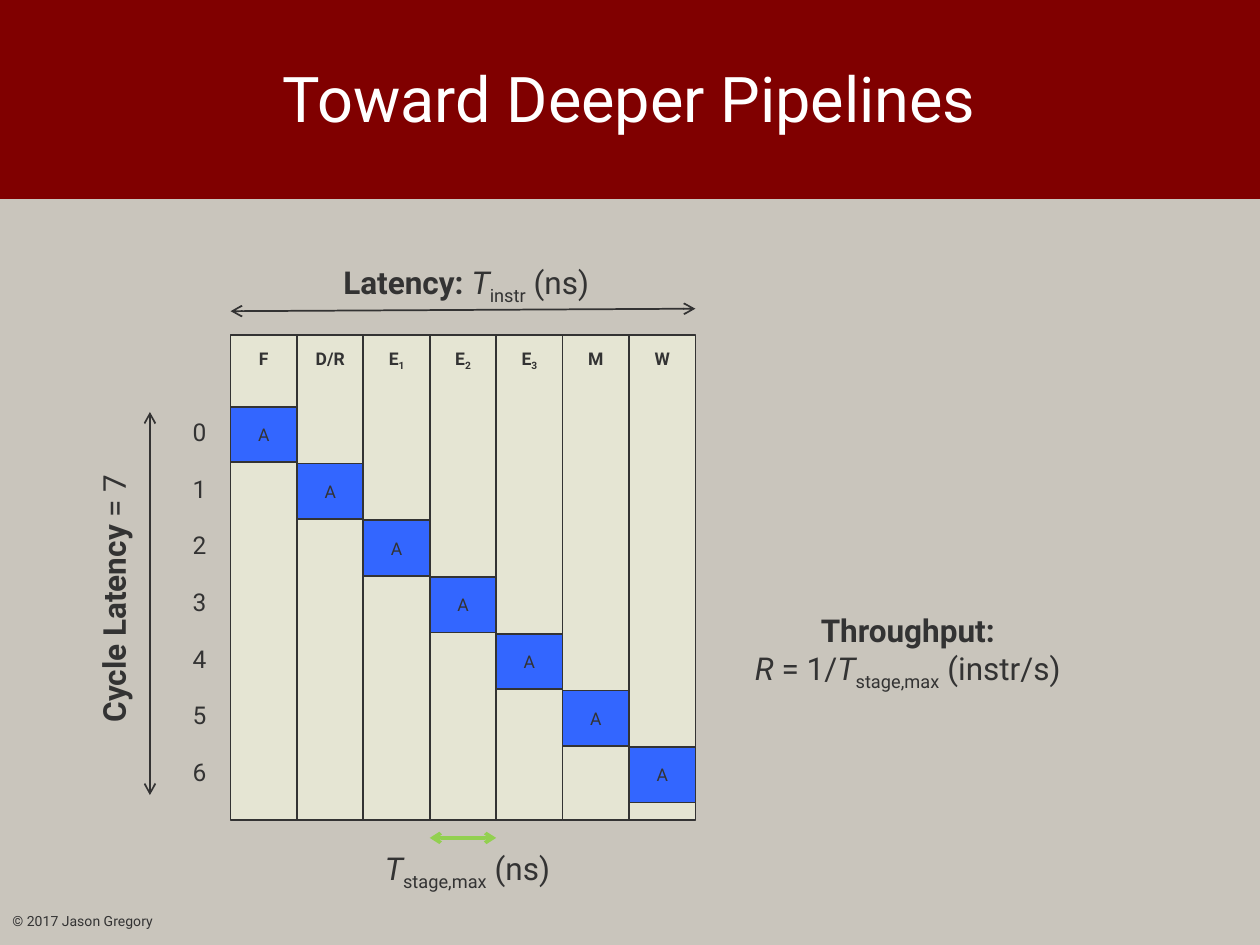
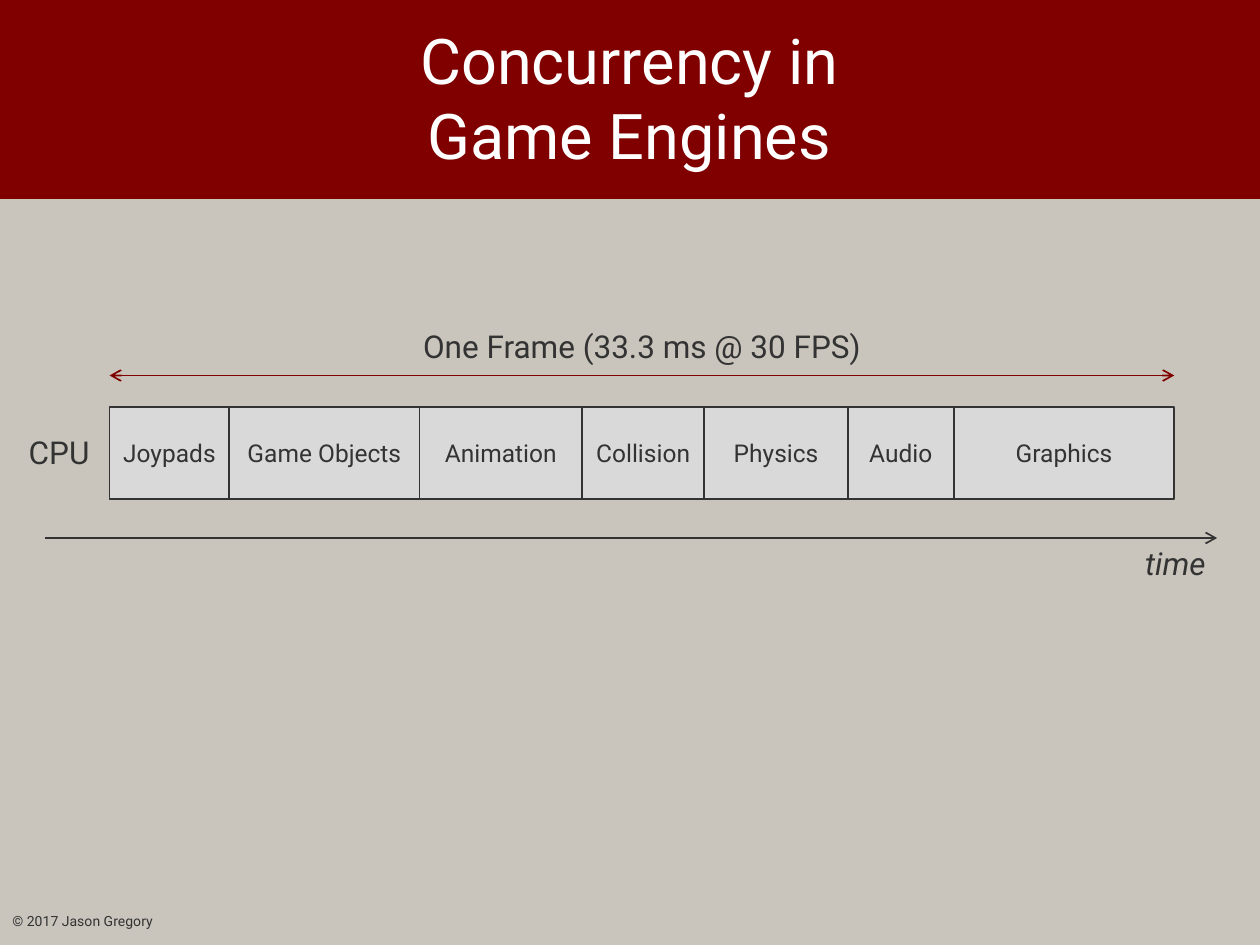
"""Build two slides on pipeline depth and concurrency in game engines."""
from lxml.etree import SubElement
from pptx import Presentation
from pptx.dml.color import RGBColor
from pptx.enum.shapes import MSO_CONNECTOR, MSO_SHAPE
from pptx.enum.text import MSO_ANCHOR as Anchor, PP_ALIGN as Align
from pptx.oxml.ns import qn
from pptx.util import Inches, Pt

MAROON = RGBColor(0x80, 0x00, 0x00)
STONE = RGBColor(0xC9, 0xC5, 0xBC)
WHITE = RGBColor(0xFF, 0xFF, 0xFF)
INK = RGBColor(0x33, 0x33, 0x33)
CREAM = RGBColor(0xE5, 0xE5, 0xD3)
BLUE = RGBColor(0x33, 0x66, 0xFF)
GREEN = RGBColor(0x92, 0xD0, 0x50)
SILVER = RGBColor(0xD9, 0xD9, 0xD9)
FONT = "Roboto"
WIDTH, HEIGHT = 10, 7.5
BAND = 1.58

# Each paragraph is a list of (text, style): b bold, i italic, _ subscript.
PIPELINE_TITLE = [[("Toward Deeper Pipelines", "")]]
ENGINE_TITLE = [[("Concurrency in", "")], [("Game Engines", "")]]
COPYRIGHT = [[("© 2017 Jason Gregory", "")]]

STAGES = [
    [("F", "b")],
    [("D/R", "b")],
    [("E", "b"), ("1", "b_")],
    [("E", "b"), ("2", "b_")],
    [("E", "b"), ("3", "b_")],
    [("M", "b")],
    [("W", "b")],
]
INSTRUCTION = [[("A", "")]]
THROUGHPUT = [
    [("Throughput:", "b")],
    [("R", "i"), (" = 1/", ""), ("T", "i"), ("stage,max", "_"), (" (instr/s)", "")],
]
LATENCY = [[("Latency: ", "b"), ("T", "i"), ("instr", "_"), (" (ns)", "")]]
STAGE_TIME = [[("T", "i"), ("stage,max", "_"), (" (ns)", "")]]
CYCLE_LATENCY = [[("Cycle Latency", "b"), (" = 7", "")]]

FRAME = [[("One Frame (33.3 ms @ 30 FPS)", "")]]
PROCESSOR = [[("CPU", "")]]
TIME = [[("time", "i")]]
JOBS = [
    ("Joypads", 0.95),
    ("Game Objects", 1.51),
    ("Animation", 1.29),
    ("Collision", 0.97),
    ("Physics", 1.14),
    ("Audio", 0.84),
    ("Graphics", 1.75),
]


def write(shape, paragraphs, size, color=INK, align=Align.CENTER,
          anchor=Anchor.MIDDLE, wrap=True):
    frame = shape.text_frame
    frame.word_wrap = wrap
    frame.vertical_anchor = anchor
    for index, runs in enumerate(paragraphs):
        paragraph = frame.paragraphs[0] if index == 0 else frame.add_paragraph()
        paragraph.alignment = align
        for text, style in runs:
            run = paragraph.add_run()
            run.text = text
            run.font.name, run.font.size = FONT, Pt(size)
            run.font.color.rgb = color
            run.font.bold, run.font.italic = "b" in style, "i" in style
            if "_" in style:
                run.font._element.set("baseline", "-25000")


def label(slide, box, paragraphs, size=18, **options):
    shape = slide.shapes.add_textbox(*map(Inches, box))
    write(shape, paragraphs, size, **options)
    return shape


def caption(slide, box, paragraphs, size=18, align=Align.CENTER):
    return label(slide, box, paragraphs, size, align=align,
                 anchor=Anchor.TOP, wrap=False)


def block(slide, box, fill, line=INK):
    shape = slide.shapes.add_shape(MSO_SHAPE.RECTANGLE, *map(Inches, box))
    shape.shadow.inherit = False
    shape.fill.solid()
    shape.fill.fore_color.rgb = fill
    if line is None:
        shape.line.fill.background()
    else:
        shape.line.color.rgb = line
        shape.line.width = Pt(1)
    return shape


def arrow(slide, start, end, color=INK, width=1, ends=("headEnd", "tailEnd")):
    line = slide.shapes.add_connector(
        MSO_CONNECTOR.STRAIGHT, *map(Inches, (*start, *end)))
    line.line.color.rgb = color
    line.line.width = Pt(width)
    outline = line.line._get_or_add_ln()
    for tag in ends:
        SubElement(outline, qn("a:" + tag), type="arrow")
    SubElement(line._element.spPr, qn("a:effectLst"))


def new_slide(deck, title):
    slide = deck.slides.add_slide(deck.slide_layouts[6])
    slide.background.fill.solid()
    slide.background.fill.fore_color.rgb = MAROON
    block(slide, (0, BAND, WIDTH, HEIGHT - BAND), STONE, line=None)
    label(slide, (0.85, 0.07, 8.29, 1.4), title, 36, color=WHITE)
    label(slide, (0, 7.11, 3.17, 0.4), COPYRIGHT, 8, align=Align.LEFT)
    return slide


def pipeline_slide(deck):
    slide = new_slide(deck, PIPELINE_TITLE)
    left, top, column, depth = 1.83, 2.66, 0.527, 3.85
    first_cycle, cycle, cell = 3.23, 0.45, 0.44
    right = left + len(STAGES) * column

    for index, stage in enumerate(STAGES):
        x, y = left + index * column, first_cycle + index * cycle
        lane = block(slide, (x, top, column, depth), CREAM)
        write(lane, [stage], 10, anchor=Anchor.TOP)
        lane.text_frame.margin_top = Inches(0.1)
        write(block(slide, (x, y, column, cell), BLUE), INSTRUCTION, 10)
        caption(slide, (1.43, y + 0.03, 0.3, 0.34), [[(str(index), "")]],
                14, Align.LEFT)

    arrow(slide, (left, 2.47), (right, 2.45))
    caption(slide, (2.61, 2.04, 2.18, 0.4), LATENCY)
    arrow(slide, (left + 4 * column, 6.65), (left + 3 * column, 6.65), GREEN, 2)
    caption(slide, (2.94, 6.69, 1.54, 0.4), STAGE_TIME)
    arrow(slide, (1.19, 3.27), (1.19, 6.31))
    caption(slide, (-0.2, 4.55, 2.2, 0.4), CYCLE_LATENCY).rotation = 270
    caption(slide, (5.84, 4.8, 2.73, 0.71), THROUGHPUT)


def engine_slide(deck):
    slide = new_slide(deck, ENGINE_TITLE)
    left, top, height = 0.87, 3.23, 0.73
    x = left
    for job, width in JOBS:
        write(block(slide, (x, top, width, height), SILVER), [[(job, "")]], 14,
              wrap=False)
        x += width

    arrow(slide, (left, 2.98), (x, 2.98), MAROON)
    caption(slide, (3.25, 2.55, 3.69, 0.4), FRAME)
    caption(slide, (0.13, 3.39, 0.74, 0.4), PROCESSOR, align=Align.LEFT)
    arrow(slide, (0.36, 4.27), (9.66, 4.27), ends=("tailEnd",))
    caption(slide, (8.99, 4.27, 0.71, 0.4), TIME, align=Align.LEFT)


def main():
    deck = Presentation()
    deck.slide_width, deck.slide_height = Inches(WIDTH), Inches(HEIGHT)
    pipeline_slide(deck)
    engine_slide(deck)
    deck.save("out.pptx")


if __name__ == "__main__":
    main()
